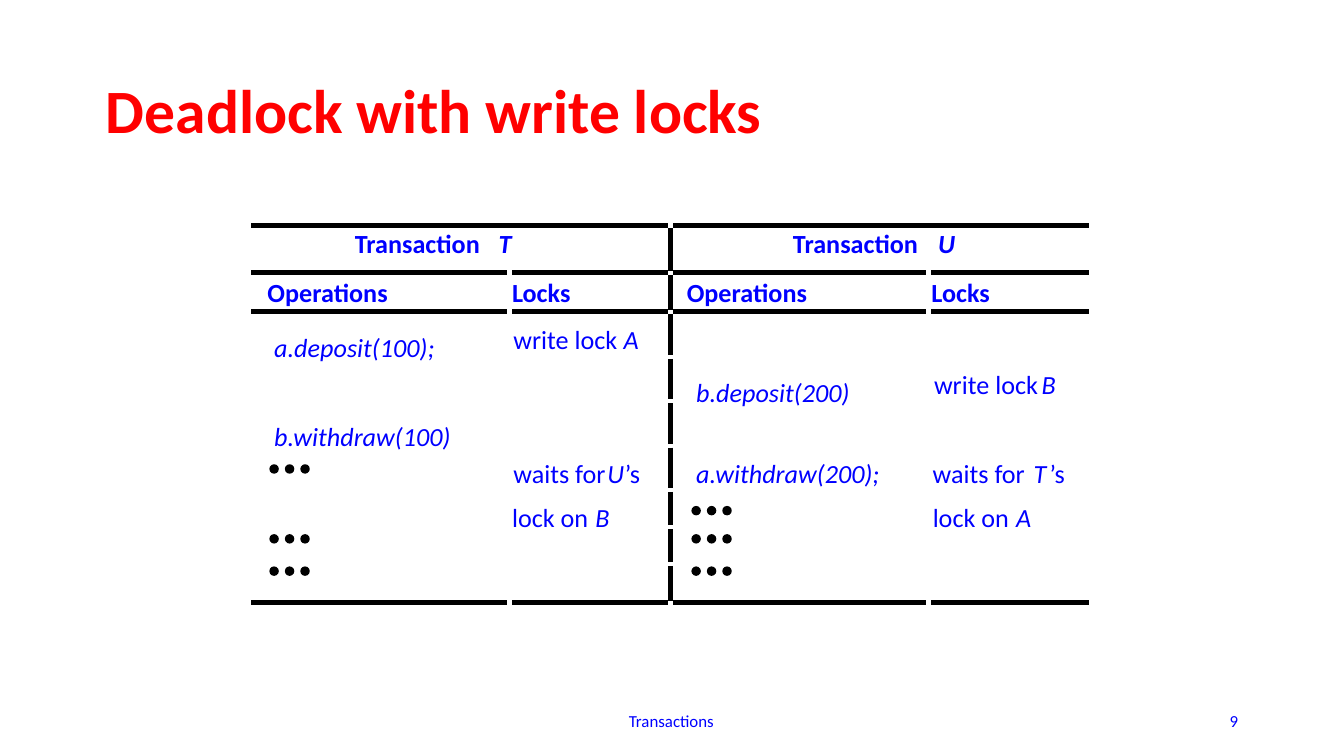
from dataclasses import dataclass
from itertools import pairwise

from pptx import Presentation
from pptx.dml.color import RGBColor
from pptx.enum.shapes import MSO_CONNECTOR, MSO_SHAPE
from pptx.enum.text import MSO_ANCHOR, MSO_AUTO_SIZE, PP_ALIGN
from pptx.oxml.ns import qn
from pptx.util import Inches, Pt

STRAIGHT = MSO_CONNECTOR.STRAIGHT
OVAL = MSO_SHAPE.OVAL
TOP, MIDDLE = MSO_ANCHOR.TOP, MSO_ANCHOR.MIDDLE
LEFT, CENTER, RIGHT = PP_ALIGN.LEFT, PP_ALIGN.CENTER, PP_ALIGN.RIGHT
FIT_TEXT = MSO_AUTO_SIZE.SHAPE_TO_FIT_TEXT


@dataclass(frozen=True)
class Theme:
    font: str = "Calibri"
    title_color: RGBColor = RGBColor(255, 0, 0)
    text_color: RGBColor = RGBColor(0, 0, 255)
    ink: RGBColor = RGBColor(0, 0, 0)
    title_size: float = 33
    cell_size: float = 14
    footer_size: float = 9
    rule_width: float = 2.75
    dot_outline: float = 0.75


THEME = Theme()

# Widescreen slide, 16 to 9
SLIDE_WIDTH = 10
SLIDE_HEIGHT = SLIDE_WIDTH * 9 / 16

# Grid of the schedule, in inches
HALVES = (1.87, 4.99)
COLUMNS = (1.87, 3.79, 4.99, 6.91, 8.1)
RULES = (1.68, 2.03, 2.32, 4.48)
DIVIDER_STOPS = (1.68, 2.03, 2.32, 2.65, 2.98, 3.31, 3.64, 3.92, 4.19, 4.48)
GAP = 0.02
FIRST_ROW, ROW_STEP = 2.41, 0.33
CELL_HEIGHT = 0.23
DOT_SIZE, DOT_STEP = 0.06, 0.115

# Headings: half, offset in the half, top, width, text, italic
HEADINGS = (
    (0, 0.77, 1.69, 1.21, "Transaction", False),
    (0, 1.84, 1.69, 0.1, "T", True),
    (1, 0.91, 1.69, 1.21, "Transaction", False),
    (1, 1.99, 1.69, 0.14, "U", True),
    *((half, offset, 2.06, width, text, False)
      for half in (0, 1)
      for offset, width, text in ((0.12, 1.09, "Operations"), (1.94, 0.55, "Locks"))),
)

# Entries: half, offset in the half, row, width, text, italic
ENTRIES = (
    (0, 0.17, 0.18, 1.28, "a.deposit(100);", True),
    (0, 1.95, 0, 0.93, "write lock", False),
    (0, 2.77, 0, 0.11, "A", True),
    (1, 0.19, 1.18, 1.23, "b.deposit(200)", True),
    (1, 1.96, 1, 0.93, "write lock", False),
    (1, 2.76, 1, 0.12, "B", True),
    (0, 0.17, 2.18, 1.41, "b.withdraw(100)", True),
    (0, 1.95, 3, 0.84, "waits for", False),
    (0, 2.65, 3, 0.13, "U", True),
    (0, 2.78, 3, 0.13, "’s", False),
    (1, 0.19, 3, 1.46, "a.withdraw(200);", True),
    (1, 1.95, 3, 0.9, "waits for", False),
    (1, 2.7, 3, 0.1, "T", True),
    (1, 2.82, 3, 0.13, "’s", False),
    (0, 1.94, 4, 0.71, "lock on", False),
    (0, 2.56, 4, 0.12, "B", True),
    (1, 1.95, 4, 0.71, "lock on", False),
    (1, 2.57, 4, 0.11, "A", True),
)

# Ellipses of three dots: left and the tops in each half
DOTS = ((2.01, (3.46, 3.98, 4.22)), (5.15, (3.77, 3.98, 4.22)))


def add_text(slide, text, left, top, width, height, *, size=THEME.cell_size,
             color=THEME.text_color, bold=False, italic=False, align=LEFT,
             anchor=TOP, framed=False, line_spacing=None):
    """Add one line of text; a framed box has insets and a fixed size."""
    box = slide.shapes.add_textbox(*map(Inches, (left, top, width, height)))
    frame = box.text_frame
    frame.word_wrap = framed
    frame.vertical_anchor = anchor
    if not framed:
        frame.auto_size = FIT_TEXT
        frame.margin_left = frame.margin_right = 0
        frame.margin_top = frame.margin_bottom = 0
    paragraph = frame.paragraphs[0]
    paragraph.alignment = align
    paragraph.line_spacing = line_spacing
    run = paragraph.add_run()
    run.text = text
    run.font.name = THEME.font
    run.font.size = Pt(size)
    run.font.bold = bold
    run.font.italic = italic
    run.font.color.rgb = color


def add_rule(slide, start_x, start_y, end_x, end_y):
    line = slide.shapes.add_connector(
        STRAIGHT, *map(Inches, (start_x, start_y, end_x, end_y)))
    line.line.color.rgb = THEME.ink
    line.line.width = Pt(THEME.rule_width)
    properties = line._element.spPr
    properties.append(properties.makeelement(qn("a:effectLst"), {}))


def add_dot(slide, left, top):
    dot = slide.shapes.add_shape(
        OVAL, *map(Inches, (left, top, DOT_SIZE, DOT_SIZE)))
    dot.shadow.inherit = False
    dot.fill.solid()
    dot.fill.fore_color.rgb = THEME.ink
    dot.line.color.rgb = THEME.ink
    dot.line.width = Pt(THEME.dot_outline)


def add_grid_rules(slide):
    # The top rule spans each half; the others break at every column
    for rule in RULES:
        stops = COLUMNS[::2] if rule == RULES[0] else COLUMNS
        for start, end in pairwise(stops):
            left = start if start == stops[0] else start + GAP
            right = end if end == stops[-1] else end - GAP
            add_rule(slide, left, rule, right, rule)
    # Broken divider between the two transactions
    for start, end in pairwise(DIVIDER_STOPS):
        add_rule(slide, HALVES[1], start + GAP, HALVES[1], end - GAP / 2)


def add_schedule_text(slide):
    for half, offset, top, width, text, italic in HEADINGS:
        add_text(slide, text, HALVES[half] + offset, top, width, CELL_HEIGHT,
                 bold=True, italic=italic)
    for half, offset, row, width, text, italic in ENTRIES:
        add_text(slide, text, HALVES[half] + offset, FIRST_ROW + row * ROW_STEP,
                 width, CELL_HEIGHT, italic=italic)


def main():
    presentation = Presentation()
    presentation.slide_width = Inches(SLIDE_WIDTH)
    presentation.slide_height = Inches(SLIDE_HEIGHT)
    slide = presentation.slides.add_slide(presentation.slide_layouts[6])

    # Footer and title
    add_text(slide, "Transactions", 3.31, 5.21, 3.37, 0.3, framed=True,
             size=THEME.footer_size, align=CENTER, anchor=MIDDLE)
    add_text(slide, "9", 7.06, 5.21, 2.25, 0.3, framed=True,
             size=THEME.footer_size, align=RIGHT, anchor=MIDDLE)
    add_text(slide, "Deadlock with write locks", 0.69, 0.3, 8.63, 1.09,
             framed=True, size=THEME.title_size, color=THEME.title_color,
             bold=True, anchor=MIDDLE, line_spacing=0.9)

    # Schedule of both transactions
    add_schedule_text(slide)
    add_grid_rules(slide)
    for left, tops in DOTS:
        for top in tops:
            for index in range(3):
                add_dot(slide, left + index * DOT_STEP, top)

    presentation.save("out.pptx")


if __name__ == "__main__":
    main()
